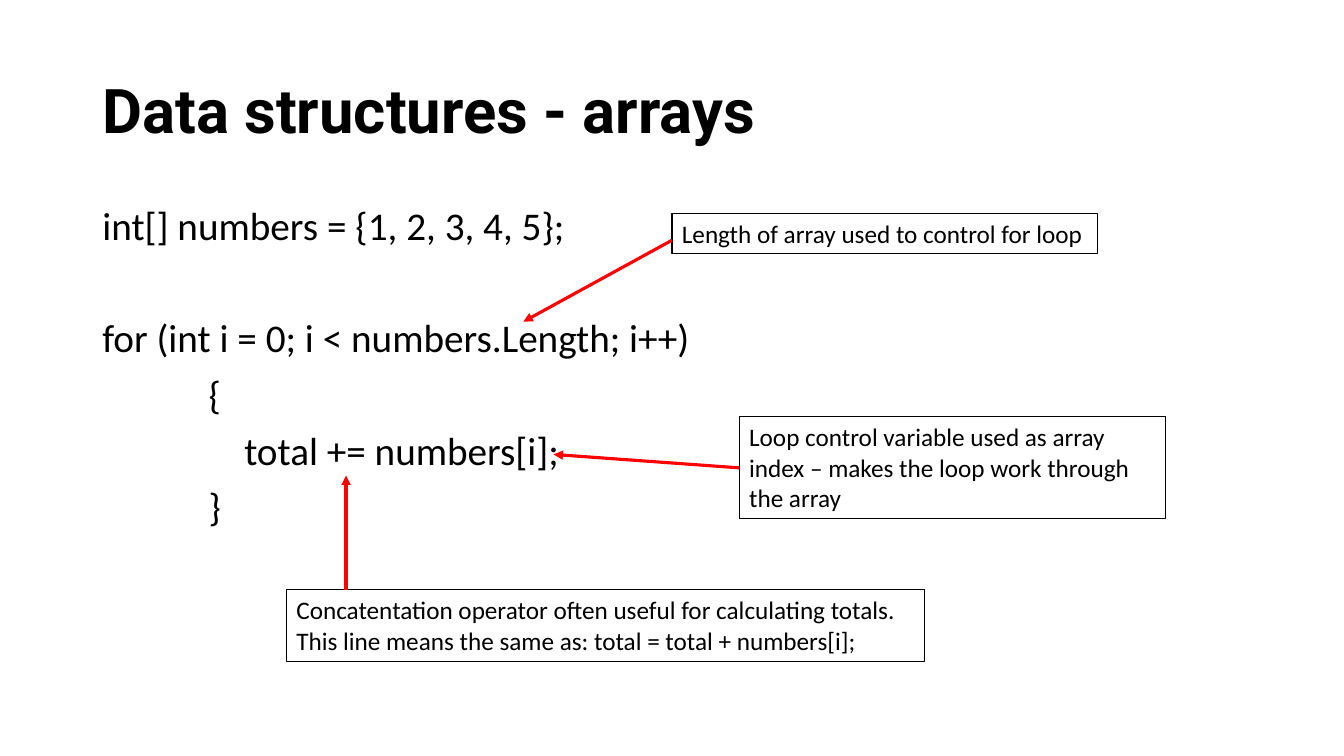
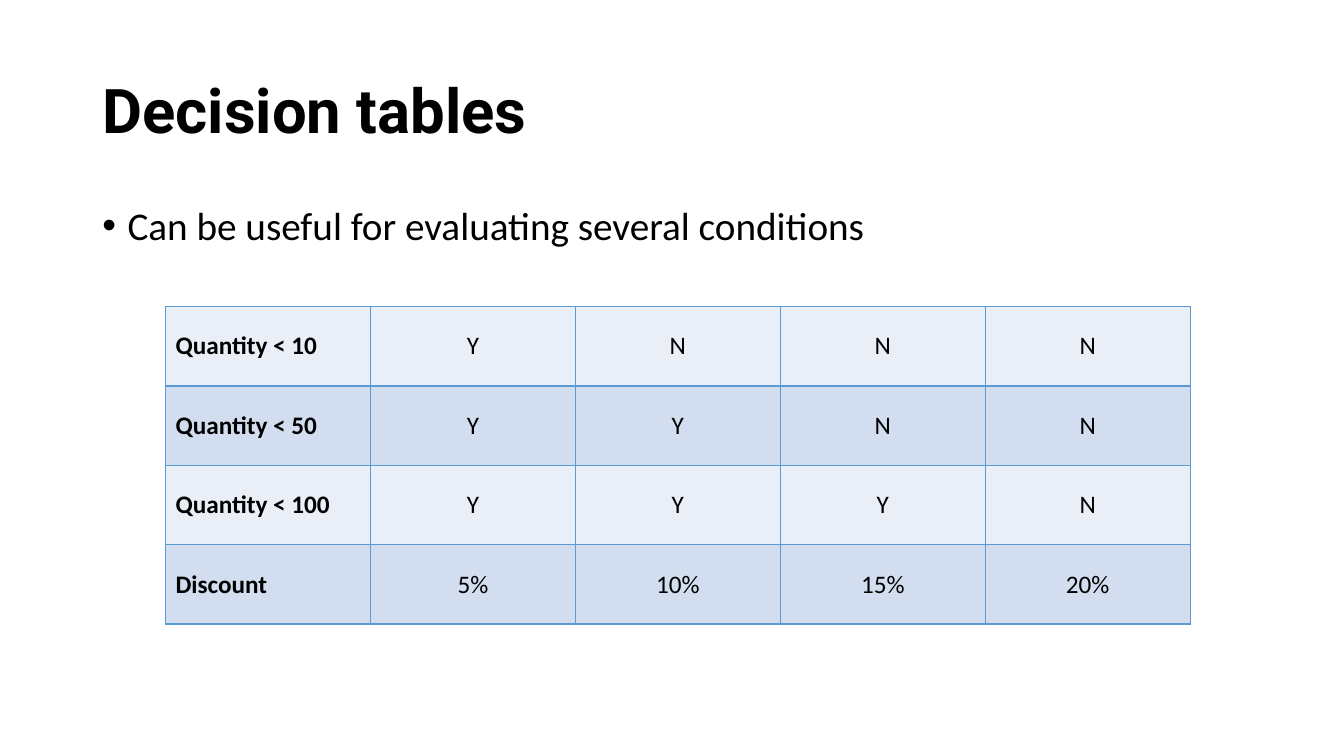
from dataclasses import dataclass

from lxml import etree
from pptx import Presentation
from pptx.dml.color import RGBColor
from pptx.enum.shapes import MSO_CONNECTOR
from pptx.enum.text import MSO_ANCHOR, PP_ALIGN
from pptx.oxml.ns import qn
from pptx.util import Inches, Pt

STRAIGHT = MSO_CONNECTOR.STRAIGHT
MIDDLE, TOP = MSO_ANCHOR.MIDDLE, MSO_ANCHOR.TOP
LEFT, CENTER = PP_ALIGN.LEFT, PP_ALIGN.CENTER
BLANK = 6
COLUMNS, ROWS = 160, 90
WIDTH, HEIGHT = Inches(13.33), Inches(7.5)


@dataclass(frozen=True)
class Theme:
    text: str = "000000"
    arrow: str = "FF0000"
    border: str = "5B9BD5"
    bands: tuple[str, str] = ("EAEFF7", "D2DEEF")
    title_font: str = "Roboto"
    body_font: str = "Calibri"
    title_size: int = 44
    body_size: int = 28
    note_size: int = 18
    line_spacing: float = 0.9
    outline: float = 0.75
    arrow_width: float = 2.25
    border_width: int = 1


@dataclass(frozen=True)
class Box:
    col: float
    row: float
    cols: float
    rows: float

    def emu(self):
        return x(self.col), y(self.row), x(self.cols), y(self.rows)


@dataclass(frozen=True)
class Line:
    text: str
    before: int = 10
    indent: float = 0
    bullet: bool = False


@dataclass(frozen=True)
class Callout:
    text: str
    box: Box
    start: tuple[float, float]
    tip: tuple[float, float]


THEME = Theme()
TITLE_BOX = Box(11, 4.8, 138, 17.4)
BODY_BOX = Box(11, 24, 138, 57.1)
TABLE_BOX = Box(19.7, 36.5, 122, 37.8)

CODE = [
    Line("int[] numbers = {1, 2, 3, 4, 5};", before=0),
    Line("for (int i = 0; i < numbers.Length; i++)", before=50),
    Line("{", indent=12.65),
    Line("total += numbers[i];", indent=16.9),
    Line("}", indent=12.65),
]
CALLOUTS = [
    Callout("Length of array used to control for loop",
            Box(80, 25.4, 50.7, 4.8), (80, 28.6), (62.3, 38.3)),
    Callout("Loop control variable used as array index – makes the loop work through the array",
            Box(88, 49.6, 50.7, 12.1), (88, 55.7), (65.9, 54.1)),
    Callout("Concatentation operator often useful for calculating totals.\n"
            "This line means the same as: total = total + numbers[i];",
            Box(34.1, 70.2, 76, 8.5), (41.2, 70.2), (41.2, 56.6)),
]
POINTS = [Line("Can be useful for evaluating several conditions",
               before=0, indent=3, bullet=True)]
DECISIONS = [
    ("Quantity < 10", "Y", "N", "N", "N"),
    ("Quantity < 50", "Y", "Y", "N", "N"),
    ("Quantity < 100", "Y", "Y", "Y", "N"),
    ("Discount", "5%", "10%", "15%", "20%"),
]


def x(col: float) -> int:
    return round(WIDTH * col / COLUMNS)


def y(row: float) -> int:
    return round(HEIGHT * row / ROWS)


def rgb(color: str) -> RGBColor:
    return RGBColor.from_string(color)


def style(tf, size: int, font: str = THEME.body_font, bold: bool = False) -> None:
    for p in tf.paragraphs:
        for r in p.runs:
            r.font.name, r.font.size, r.font.bold = font, Pt(size), bold
            r.font.color.rgb = rgb(THEME.text)


def add_text(s, box: Box, text: str, anchor=TOP):
    sp = s.shapes.add_textbox(*box.emu())
    tf = sp.text_frame
    tf.word_wrap = True
    tf.vertical_anchor = anchor
    tf.text = text
    return sp


def add_title(s, text: str) -> None:
    tf = add_text(s, TITLE_BOX, text, MIDDLE).text_frame
    tf.paragraphs[0].line_spacing = THEME.line_spacing
    style(tf, THEME.title_size, THEME.title_font, bold=True)


def add_body(s, lines: list[Line]) -> None:
    tf = add_text(s, BODY_BOX, "\n".join(line.text for line in lines)).text_frame
    for p, line in zip(tf.paragraphs, lines):
        p.line_spacing = THEME.line_spacing
        p.space_before = Pt(line.before)
        pPr = p._p.get_or_add_pPr()
        pPr.set("marL", str(x(line.indent)))
        if line.bullet:
            pPr.set("indent", str(-x(line.indent)))
            etree.SubElement(pPr, qn("a:buFont"), typeface="Arial")
            etree.SubElement(pPr, qn("a:buChar"), char="•")
    style(tf, THEME.body_size)


def add_arrow(s, start: tuple[float, float], tip: tuple[float, float]) -> None:
    cx = s.shapes.add_connector(STRAIGHT, x(start[0]), y(start[1]), x(tip[0]), y(tip[1]))
    cx.line.color.rgb = rgb(THEME.arrow)
    cx.line.width = Pt(THEME.arrow_width)
    etree.SubElement(cx.line._get_or_add_ln(), qn("a:tailEnd"), type="triangle")
    etree.SubElement(cx._element.spPr, qn("a:effectLst"))


def add_callout(s, callout: Callout) -> None:
    sp = add_text(s, callout.box, callout.text)
    sp.line.color.rgb = rgb(THEME.text)
    sp.line.width = Pt(THEME.outline)
    style(sp.text_frame, THEME.note_size)
    add_arrow(s, callout.start, callout.tip)


def set_borders(cell) -> None:
    tcPr = cell._tc.get_or_add_tcPr()
    for i, side in enumerate(("lnL", "lnR", "lnT", "lnB")):
        ln = etree.Element(qn(f"a:{side}"), w=str(Pt(THEME.border_width)))
        fill = etree.SubElement(ln, qn("a:solidFill"))
        etree.SubElement(fill, qn("a:srgbClr"), val=THEME.border)
        tcPr.insert(i, ln)


def add_decision_table(s, rows: list[tuple[str, ...]]) -> None:
    table = s.shapes.add_table(len(rows), len(rows[0]), *TABLE_BOX.emu()).table
    table.first_row = table.horz_banding = False
    for i, row in enumerate(rows):
        for j, text in enumerate(row):
            cell = table.cell(i, j)
            cell.text_frame.text = text
            cell.vertical_anchor = MIDDLE
            cell.text_frame.paragraphs[0].alignment = CENTER if j else LEFT
            cell.fill.solid()
            cell.fill.fore_color.rgb = rgb(THEME.bands[i % 2])
            set_borders(cell)
            style(cell.text_frame, THEME.note_size, bold=j == 0)


def add_slide(prs, title: str, lines: list[Line]):
    s = prs.slides.add_slide(prs.slide_layouts[BLANK])
    add_title(s, title)
    add_body(s, lines)
    return s


def main() -> None:
    prs = Presentation()
    prs.slide_width, prs.slide_height = WIDTH, HEIGHT
    s = add_slide(prs, "Data structures - arrays", CODE)
    for callout in CALLOUTS:
        add_callout(s, callout)
    s = add_slide(prs, "Decision tables", POINTS)
    add_decision_table(s, DECISIONS)
    prs.save("out.pptx")


if __name__ == "__main__":
    main()
